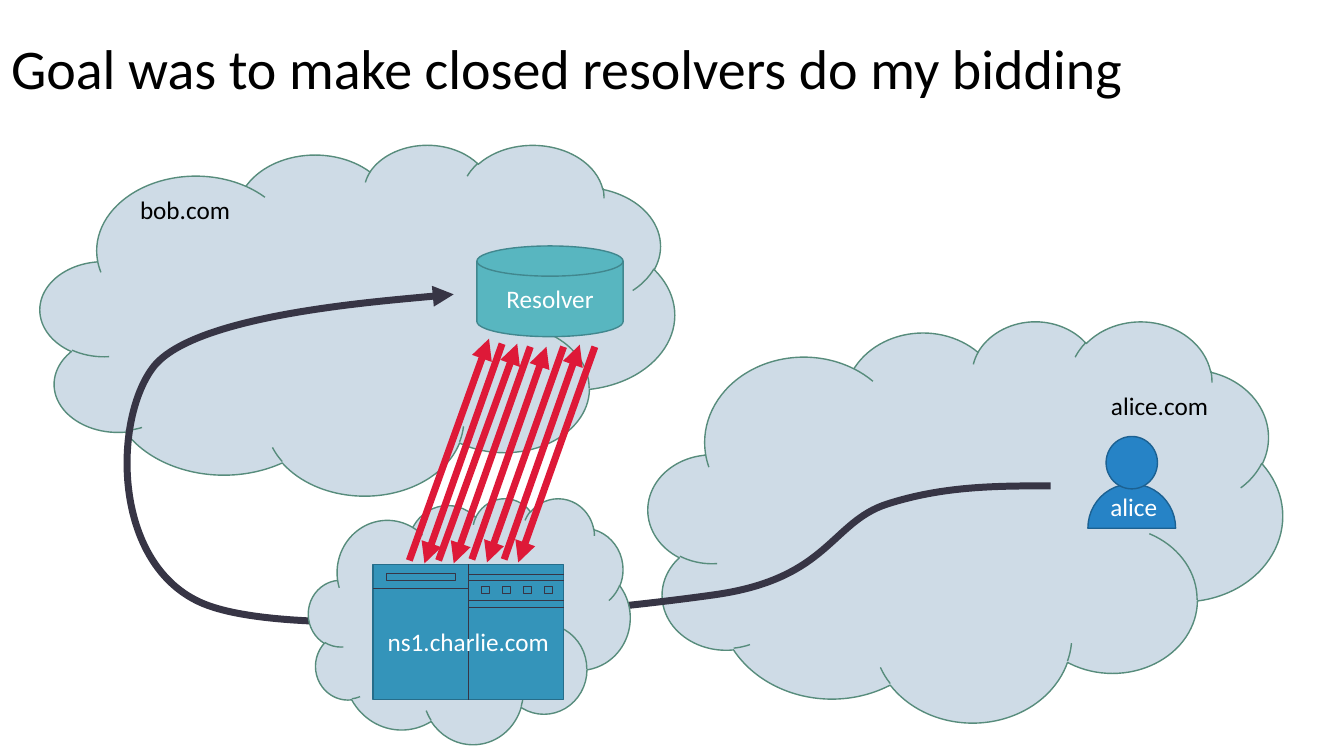
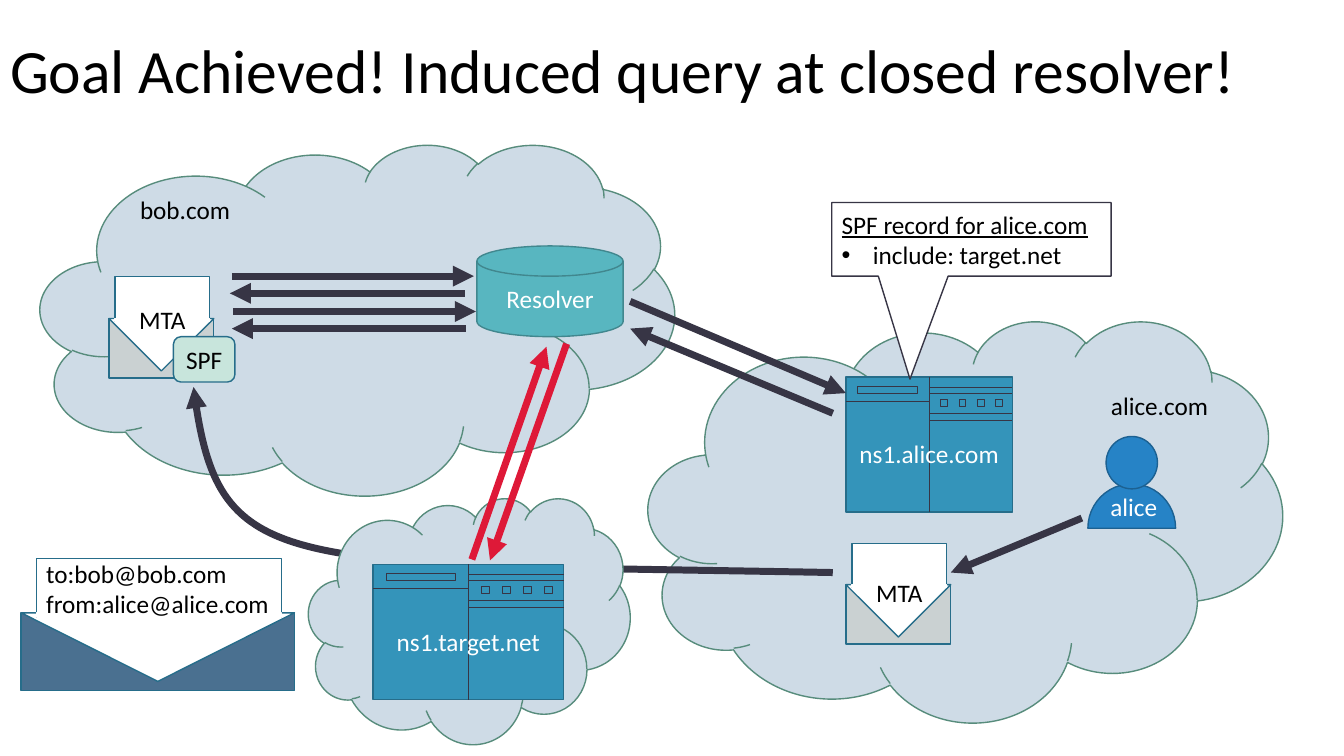
"""Build two slides that show DNS queries induced at a closed resolver."""
from lxml.etree import SubElement
from pptx import Presentation
from pptx.dml.color import RGBColor
from pptx.enum.shapes import MSO_CONNECTOR, MSO_SHAPE
from pptx.enum.text import MSO_ANCHOR, MSO_AUTO_SIZE, PP_ALIGN
from pptx.oxml.ns import qn
from pptx.util import Pt

PX = 9144
FONT = "Calibri"
BLACK, WHITE, DARK, RED = "000000", "FFFFFF", "373545", "DE1938"
CLOUD, CLOUD_EDGE = "CEDBE6", "578C7C"
DISK, DISK_EDGE = "58B6C0", "41878E"
PERSON, PERSON_EDGE = "2683C6", "1C6192"
SERVER, EDGE = "3494BA", "266D8A"
PAPER_GREY, MAIL_BLUE, MINT = "CAD1D2", "4A7090", "C8E5DC"

CLOUDS = [(40, 143, 629, 348), (643, 318, 629, 398)]
NS_CLOUD = (306, 494, 319, 244)
NS_SERVER = (370, 560, 189)
DOMAINS = [("alice.com", (1092, 382, 168, 40)), ("bob.com", (129, 188, 168, 40))]

SLIDES = [
    {
        "title": ("Goal was to make closed resolvers do my bidding",
                  (1, -2, 1336, 145), 40),
        "envelopes": [],
        "curve": [(1042, 482), (989, 482), (936, 482), (880, 500),
                  (824, 518), (822, 574), (709, 590),
                  (596, 606), (295, 637), (202, 599),
                  (110, 561), (112, 414), (153, 363),
                  (195, 312), (450, 292), (450, 292)],
        "red": [(590, 344, 514, 558), (500, 555, 575, 342),
                (559, 344, 483, 558), (468, 555, 542, 344),
                (526, 344, 450, 559), (435, 556, 513, 341),
                (498, 341, 421, 559), (406, 556, 485, 336)],
        "dark": [],
        "servers": [(NS_SERVER, "ns1.charlie.com")],
    },
    {
        "title": ("Goal Achieved! Induced query at closed resolver!",
                  (0, 0, 1333, 145), 44),
        "envelopes": [
            {"body": (108, 316, 104, 59), "flap": 52, "paper": (94, 42, 3),
             "fill": PAPER_GREY, "lines": ["MTA"], "text_top": 297,
             "align": PP_ALIGN.CENTER},
            {"body": (839, 580, 104, 59), "flap": 52, "paper": (94, 41, 3),
             "fill": PAPER_GREY, "lines": ["MTA"], "text_top": 568,
             "align": PP_ALIGN.CENTER},
            {"body": (21, 608, 271, 77), "flap": 68, "paper": (243, 54, 4),
             "fill": MAIL_BLUE, "lines": ["to:bob@bob.com", "from:alice@alice.com"],
             "text_top": 549, "align": PP_ALIGN.LEFT},
        ],
        "curve": [(826, 568), (289, 558), (215, 573), (192, 384)],
        "red": [(468, 555, 542, 344), (562, 341, 486, 556)],
        "dark": [(1073, 514, 943, 568), (230, 274, 470, 274),
                 (461, 291, 228, 291), (231, 309, 472, 309),
                 (462, 326, 230, 326), (625, 299, 839, 390),
                 (826, 410, 625, 326)],
        "servers": [(NS_SERVER, "ns1.target.net"), ((839, 374, 165), "ns1.alice.com")],
        "callout": ["SPF record for alice.com", "include: target.net"],
        "badge": "SPF",
    },
]


def emu(*values):
    return [round(v * PX) for v in values]


def rgb(value):
    return RGBColor.from_string(value)


def fmt(obj, **values):
    for name, value in values.items():
        setattr(obj, name, value)


def write(sp, lines, color=BLACK, size=18, align=PP_ALIGN.LEFT, anchor=MSO_ANCHOR.MIDDLE):
    tf = sp.text_frame
    fmt(tf, word_wrap=True, auto_size=MSO_AUTO_SIZE.NONE, vertical_anchor=anchor)
    for i, line in enumerate(lines):
        p = tf.add_paragraph() if i else tf.paragraphs[0]
        p.alignment = align
        r = p.add_run()
        r.text = line
        fmt(r.font, name=FONT, size=Pt(size))
        r.font.color.rgb = rgb(color)
    return tf


def add_text(shapes, box, lines, color=BLACK, align=PP_ALIGN.LEFT):
    return write(shapes.add_textbox(*emu(*box)), lines, color, align=align,
                 anchor=MSO_ANCHOR.TOP)


def add_box(shapes, kind, box, fill, edge, width=1, rotation=0):
    sp = shapes.add_shape(kind, *emu(*box))
    sp.shadow.inherit = False
    sp.rotation = rotation
    sp.fill.solid()
    sp.fill.fore_color.rgb = rgb(fill)
    sp.line.color.rgb = rgb(edge)
    sp.line.width = Pt(width)
    return sp


def add_arrowhead(sp):
    SubElement(sp.element.spPr.find(qn("a:ln")), qn("a:tailEnd"), type="triangle")


def add_line(shapes, ends, color=DARK, width=0.5):
    c = shapes.add_connector(MSO_CONNECTOR.STRAIGHT, *emu(*ends))
    c.line.color.rgb = rgb(color)
    c.line.width = Pt(width)
    SubElement(c.element.spPr, qn("a:effectLst"))
    return c


def add_curve(shapes, points):
    start, *rest = [tuple(emu(*pt)) for pt in points]
    builder = shapes.build_freeform(*start)
    builder.add_line_segments(rest, close=False)
    sp = builder.convert_to_shape()
    sp.shadow.inherit = False
    sp.fill.background()
    sp.line.color.rgb = rgb(DARK)
    sp.line.width = Pt(5)
    outline = next(sp.element.spPr.iter(qn("a:path")))
    outline.set("fill", "none")
    segments = outline.findall(qn("a:lnTo"))
    for i in range(0, len(segments), 3):
        bezier = SubElement(outline, qn("a:cubicBezTo"))
        for segment in segments[i:i + 3]:
            bezier.append(segment[0])
            outline.remove(segment)
    add_arrowhead(sp)


def add_cloud(shapes, box):
    add_box(shapes, MSO_SHAPE.CLOUD, box, CLOUD, CLOUD_EDGE)


def add_person(s):
    g = s.shapes.add_group_shape().shapes
    body = add_box(g, MSO_SHAPE.PIE, (1079, 480, 87, 88), PERSON, PERSON_EDGE, rotation=180)
    body.adjustments[0], body.adjustments[1] = 0, 108
    add_box(g, MSO_SHAPE.OVAL, (1097, 433, 51, 52), PERSON, PERSON_EDGE)
    add_text(g, (1073, 483, 103, 40), ["alice"], WHITE, PP_ALIGN.CENTER)


def add_server(s, x, y, w, label):
    g = s.shapes.add_group_shape().shapes
    mid, right = x + w / 2, x + w
    add_box(g, MSO_SHAPE.RECTANGLE, (x, y, w, 134), SERVER, EDGE)
    add_line(g, (mid, y, mid, y + 134))
    add_line(g, (x, y + 24, mid, y + 24))
    for dy in (10, 16, 36, 43):
        add_line(g, (mid, y + dy, right, y + dy))
    slot = (x + 0.07 * w, y + 9, 0.36 * w, 7)
    buttons = [(mid + (0.07 + 0.11 * i) * w, y + 22, 0.04 * w, 7) for i in range(4)]
    for box in [slot, *buttons]:
        add_box(g, MSO_SHAPE.RECTANGLE, box, SERVER, DARK, 0.5)
    add_text(g, (x, y + 56, w, 40), [label], WHITE, PP_ALIGN.CENTER)


def add_envelope(s, body, flap, paper, fill, lines, text_top, align):
    g = s.shapes.add_group_shape().shapes
    x, y, w, h = body
    paper_w, rise, overlap = paper
    paper_x = x + (w - paper_w + 2) // 2
    add_box(g, MSO_SHAPE.RECTANGLE, body, fill, EDGE)
    add_box(g, MSO_SHAPE.ISOSCELES_TRIANGLE, (x, y, w, flap), WHITE, EDGE, rotation=180)
    add_box(g, MSO_SHAPE.RECTANGLE, (paper_x, y - rise, paper_w, rise + overlap), WHITE, EDGE)
    add_box(g, MSO_SHAPE.RECTANGLE, (paper_x, y, paper_w, overlap), WHITE, WHITE)
    add_text(g, (paper_x, text_top, paper_w, 10 + 30 * len(lines)), lines, align=align)


def add_callout(s, lines):
    sp = add_box(s.shapes, MSO_SHAPE.RECTANGULAR_CALLOUT, (825, 201, 277, 73), WHITE, DARK)
    sp.adjustments[0], sp.adjustments[1] = -0.22, 1.9
    heading, item = write(sp, lines).paragraphs
    heading.runs[0].font.underline = True
    indent = emu(31)[0]
    pPr = item._p.get_or_add_pPr()
    pPr.set("marL", str(indent))
    pPr.set("indent", str(-indent))
    SubElement(pPr, qn("a:buFont"), typeface="Arial")
    SubElement(pPr, qn("a:buChar"), char="•")


def add_title(s, text, box, size):
    sp = s.shapes.title
    fmt(sp, **dict(zip(("left", "top", "width", "height"), emu(*box))))
    write(sp, [text], size=size).paragraphs[0].line_spacing = 0.9


def build_slide(prs, content):
    s = prs.slides.add_slide(prs.slide_layouts[5])
    add_title(s, *content["title"])
    for box in CLOUDS:
        add_cloud(s.shapes, box)
    for name, box in DOMAINS:
        add_text(s.shapes, box, [name])
    add_person(s)
    disk = add_box(s.shapes, MSO_SHAPE.FLOWCHART_MAGNETIC_DISK, (473, 244, 145, 90),
                   DISK, DISK_EDGE)
    write(disk, ["Resolver"], WHITE, align=PP_ALIGN.CENTER)
    for envelope in content["envelopes"]:
        add_envelope(s, **envelope)
    add_curve(s.shapes, content["curve"])
    add_cloud(s.shapes, NS_CLOUD)
    for ends in content["red"]:
        add_arrowhead(add_line(s.shapes, ends, RED, 5))
    for place, label in content["servers"]:
        add_server(s, *place, label)
    for ends in content["dark"]:
        add_arrowhead(add_line(s.shapes, ends, DARK, 5))
    if "callout" in content:
        add_callout(s, content["callout"])
    if "badge" in content:
        sp = add_box(s.shapes, MSO_SHAPE.ROUNDED_RECTANGLE, (172, 334, 61, 45), MINT, EDGE)
        write(sp, [content["badge"]], align=PP_ALIGN.CENTER)


def main():
    prs = Presentation()
    prs.slide_width, prs.slide_height = emu(1333, 750)
    for content in SLIDES:
        build_slide(prs, content)
    prs.save("out.pptx")


if __name__ == "__main__":
    main()
